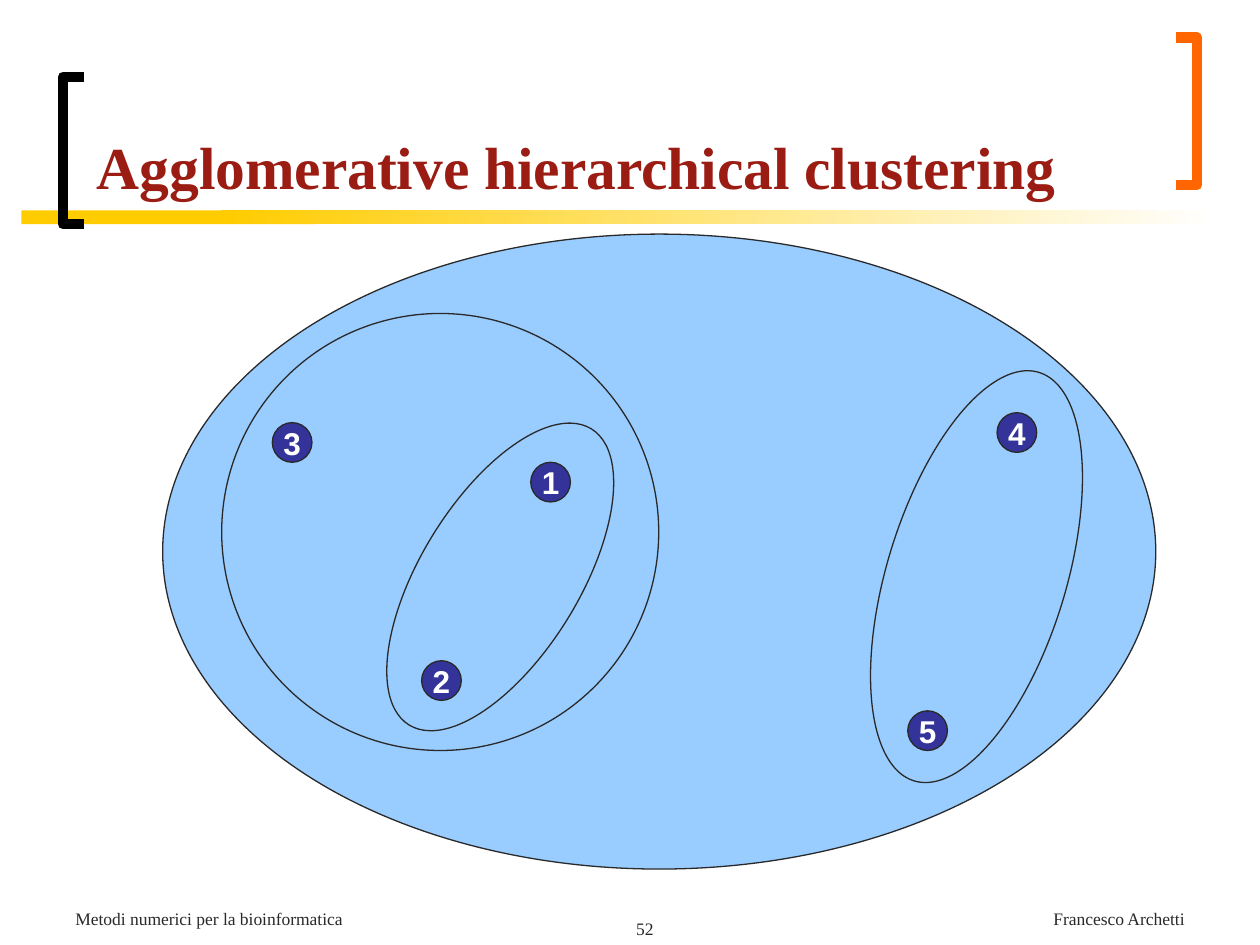
from dataclasses import dataclass

from pptx import Presentation
from pptx.dml.color import RGBColor
from pptx.enum import shapes, text
from pptx.util import Cm, Pt

INK = RGBColor(0x29, 0x29, 0x29)
BLACK = RGBColor(0, 0, 0)
WHITE = RGBColor(0xFF, 0xFF, 0xFF)
ORANGE = RGBColor(0xFF, 0x66, 0x00)
YELLOW = RGBColor(0xFF, 0xCC, 0x00)
DARK_RED = RGBColor(0x9A, 0x1C, 0x12)
CLUSTER_BLUE = RGBColor(0x99, 0xCC, 0xFF)
NODE_BLUE = RGBColor(0x33, 0x33, 0x99)
SERIF, SANS = "Times New Roman", "Arial"
NODE_SIZE = 0.8
BAR_TOP, BAR_HEIGHT = 4.24, 0.28
BRACKET_WIDTH, BRACKET_HEIGHT = 0.43, 2.97


@dataclass
class Cluster:
    left: float
    top: float
    width: float
    height: float
    rotation: float = 0


@dataclass
class Node:
    label: str
    centre_x: float
    centre_y: float


@dataclass
class Footer:
    wording: str
    left: float
    top: float
    width: float
    align: text.PP_ALIGN


CLUSTERS = [
    Cluster(3.28, 4.72, 20.02, 12.8),
    Cluster(4.47, 6.32, 8.81, 8.81),
    Cluster(6.58, 10.03, 7.01, 3.2, 301.6),
    Cluster(17.88, 7.32, 3.61, 8.61, 17),
]
NODES = [
    Node("3", 5.89, 8.92),
    Node("1", 11.1, 9.72),
    Node("2", 8.9, 13.72),
    Node("4", 20.5, 8.72),
    Node("5", 18.7, 14.73),
]
FOOTERS = [
    Footer("52", 10.36, 17.78, 5.28, text.PP_ALIGN.CENTER),
    Footer("Metodi numerici per la bioinformatica", 1.27, 17.58, 6.99, text.PP_ALIGN.LEFT),
    Footer("Francesco Archetti", 16.08, 17.58, 8.05, text.PP_ALIGN.RIGHT),
]


def write(frame, wording: str, font_name: str, size: float, color: RGBColor,
          bold: bool, align: text.PP_ALIGN, anchor: text.MSO_ANCHOR) -> None:
    frame.text = wording
    frame.vertical_anchor = anchor
    paragraph = frame.paragraphs[0]
    paragraph.alignment = align
    font = paragraph.runs[0].font
    font.name, font.size, font.bold = font_name, Pt(size), bold
    font.color.rgb = color


def draw_bracket(slide, spine_x: float, top: float, arm: float, color: RGBColor) -> None:
    """Draw an open bracket whose arms reach sideways from the spine by arm."""
    bottom = top + BRACKET_HEIGHT
    builder = slide.shapes.build_freeform(Cm(spine_x + arm), Cm(top))
    builder.add_line_segments(
        [(Cm(spine_x), Cm(top)), (Cm(spine_x), Cm(bottom)), (Cm(spine_x + arm), Cm(bottom))],
        close=False)
    bracket = builder.convert_to_shape()
    bracket.shadow.inherit = False
    bracket.fill.background()
    bracket.line.color.rgb = color
    bracket.line.width = Pt(6)


def draw_bar(slide, left: float, width: float, fades: bool) -> None:
    bar = slide.shapes.add_shape(shapes.MSO_SHAPE.RECTANGLE, Cm(left), Cm(BAR_TOP),
                                 Cm(width), Cm(BAR_HEIGHT))
    bar.shadow.inherit = False
    bar.line.fill.background()
    if fades:
        bar.fill.gradient()
        bar.fill.gradient_angle = 0
        for stop, color in zip(bar.fill.gradient_stops, (YELLOW, WHITE)):
            stop.color.rgb = color
    else:
        bar.fill.solid()
        bar.fill.fore_color.rgb = YELLOW


def draw_ellipse(slide, left: float, top: float, width: float, height: float,
                 color: RGBColor):
    ellipse = slide.shapes.add_shape(shapes.MSO_SHAPE.OVAL, Cm(left), Cm(top),
                                     Cm(width), Cm(height))
    ellipse.shadow.inherit = False
    ellipse.fill.solid()
    ellipse.fill.fore_color.rgb = color
    ellipse.line.color.rgb = INK
    ellipse.line.width = Pt(0.75)
    return ellipse


def draw_cluster(slide, cluster: Cluster) -> None:
    ellipse = draw_ellipse(slide, cluster.left, cluster.top, cluster.width,
                           cluster.height, CLUSTER_BLUE)
    ellipse.rotation = cluster.rotation


def draw_node(slide, node: Node) -> None:
    disc = draw_ellipse(slide, node.centre_x - NODE_SIZE / 2, node.centre_y - NODE_SIZE / 2,
                        NODE_SIZE, NODE_SIZE, NODE_BLUE)
    disc.text_frame.word_wrap = False
    write(disc.text_frame, node.label, SANS, 18, WHITE, True,
          text.PP_ALIGN.CENTER, text.MSO_ANCHOR.MIDDLE)


def draw_footer(slide, footer: Footer) -> None:
    box = slide.shapes.add_textbox(Cm(footer.left), Cm(footer.top), Cm(footer.width), Cm(1.27))
    box.text_frame.word_wrap = True
    write(box.text_frame, footer.wording, SERIF, 10, INK, False,
          footer.align, text.MSO_ANCHOR.BOTTOM)


def main() -> None:
    deck = Presentation()
    deck.slide_width, deck.slide_height = Cm(25.4), Cm(19.05)
    slide = deck.slides.add_slide(deck.slide_layouts[5])

    title = slide.shapes.title
    title.left, title.top, title.width, title.height = Cm(1.7), Cm(1.27), Cm(21.16), Cm(2.92)
    write(title.text_frame, "Agglomerative hierarchical clustering", SERIF, 34, DARK_RED,
          True, text.PP_ALIGN.LEFT, text.MSO_ANCHOR.BOTTOM)

    draw_bracket(slide, 24.13, 0.76, -BRACKET_WIDTH, ORANGE)
    draw_bar(slide, 0.43, 5.92, fades=False)
    draw_bar(slide, 4.45, 20.11, fades=True)
    draw_bracket(slide, 1.27, 1.55, BRACKET_WIDTH, BLACK)
    for cluster in CLUSTERS:
        draw_cluster(slide, cluster)
    for node in NODES:
        draw_node(slide, node)
    for footer in FOOTERS:
        draw_footer(slide, footer)

    deck.save("out.pptx")


if __name__ == "__main__":
    main()
